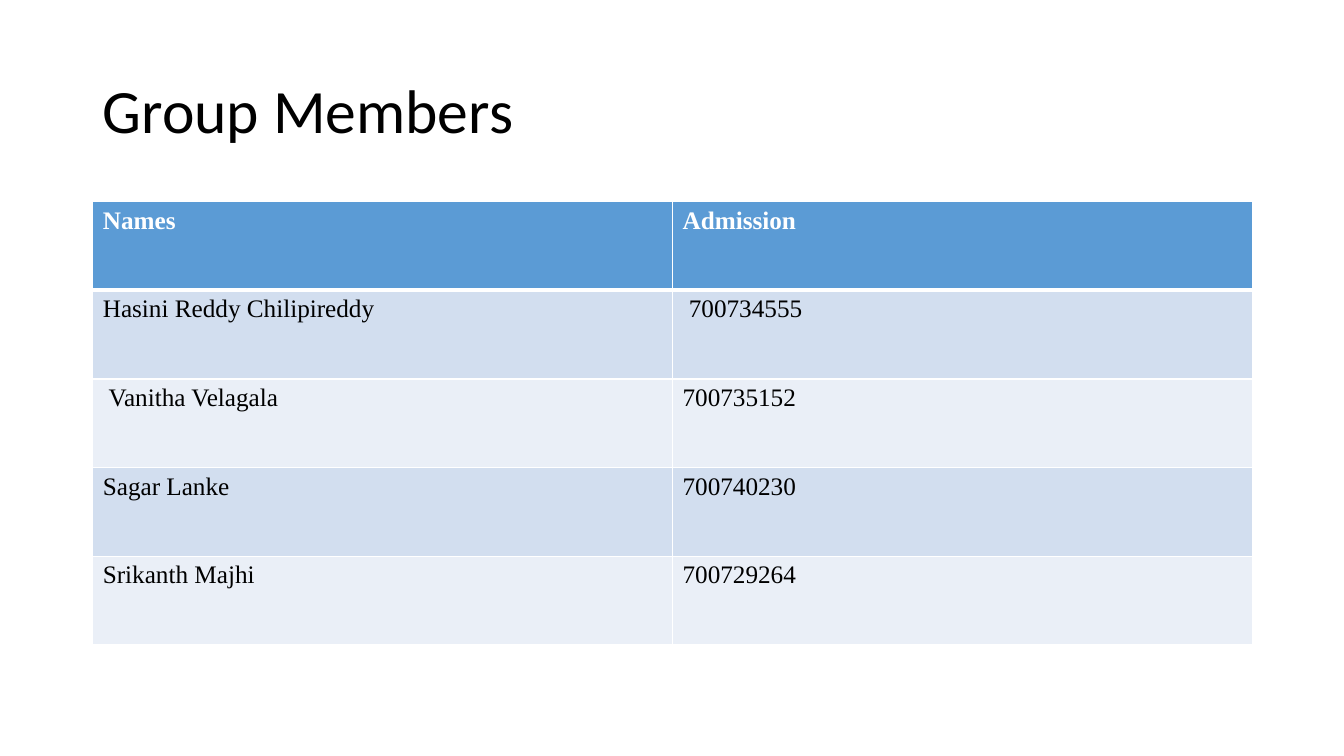
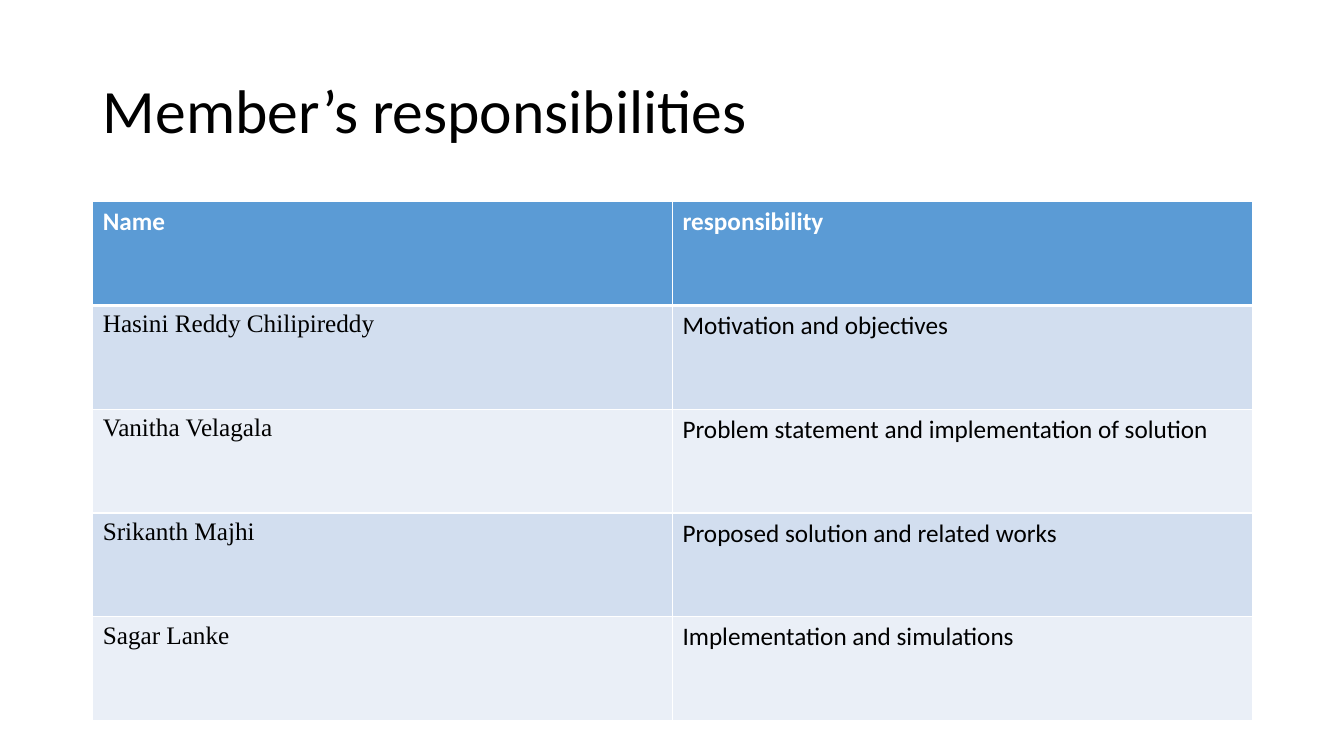
from dataclasses import dataclass

from lxml.etree import SubElement
from pptx import Presentation
from pptx.dml.color import RGBColor
from pptx.enum.text import MSO_ANCHOR, MSO_AUTO_SIZE, PP_ALIGN
from pptx.oxml.ns import qn
from pptx.presentation import Presentation as Deck
from pptx.slide import Slide
from pptx.table import _Cell as Cell
from pptx.text.text import TextFrame
from pptx.util import Inches, Pt

BLACK = RGBColor(0x00, 0x00, 0x00)
WHITE = RGBColor(0xFF, 0xFF, 0xFF)
HEADER_BLUE = RGBColor(0x5B, 0x9B, 0xD5)
BANDS = (RGBColor(0xEA, 0xEF, 0xF7), RGBColor(0xD2, 0xDE, 0xEF))

SANS = "Calibri"
SERIF = "Times New Roman"
TITLE_ONLY = 5
LEFT, WIDTH = Inches(0.92), Inches(11.5)
TITLE_TOP, TITLE_HEIGHT = Inches(0.4), Inches(1.45)
TABLE_TOP = Inches(2)
THIN, THICK = Pt(1), Pt(3)


@dataclass(frozen=True)
class MemberPage:
    """A titled table; the first row is the header."""
    title: str
    row_height: float
    header_font: str
    column_fonts: tuple[str, ...]
    rows: tuple[tuple[str, ...], ...]


PAGES = (
    MemberPage("Group Members ", 0.88, SERIF, (SERIF, SERIF), (
        ("Names ", "Admission "),
        ("Hasini Reddy Chilipireddy", " 700734555"),
        (" Vanitha Velagala", "700735152"),
        ("Sagar Lanke ", "700740230"),
        ("Srikanth Majhi ", "700729264"),
    )),
    MemberPage("Member’s responsibilities", 1.03, SANS, (SERIF, SANS), (
        ("Name ", "responsibility"),
        ("Hasini Reddy Chilipireddy", "Motivation and objectives"),
        ("Vanitha Velagala", "Problem statement and implementation of solution"),
        ("Srikanth Majhi ", "Proposed solution and related works "),
        ("Sagar Lanke", "Implementation and simulations"),
    )),
)


def write(frame: TextFrame, text: str, font: str, size: int,
          color: RGBColor, bold: bool = False) -> None:
    """Put one left-aligned, formatted paragraph in a text frame."""
    frame.text = text
    para = frame.paragraphs[0]
    para.alignment = PP_ALIGN.LEFT
    for span in para.runs:
        span.font.name = font
        span.font.size = Pt(size)
        span.font.bold = bold
        span.font.color.rgb = color


def add_borders(cell: Cell, top: int, bottom: int) -> None:
    """Draw white borders; call before the fill, which must follow them."""
    properties = cell._tc.get_or_add_tcPr()
    widths = {"a:lnL": THIN, "a:lnR": THIN, "a:lnT": top, "a:lnB": bottom}
    for tag, width in widths.items():
        line = SubElement(properties, qn(tag), w=str(int(width)))
        fill = SubElement(line, qn("a:solidFill"))
        SubElement(fill, qn("a:srgbClr"), val=str(WHITE))


def add_title(page: Slide, text: str) -> None:
    """Place and format the title placeholder."""
    box = page.shapes.title
    box.left, box.top = LEFT, TITLE_TOP
    box.width, box.height = WIDTH, TITLE_HEIGHT
    frame = box.text_frame
    write(frame, text, SANS, 44, BLACK)
    frame.word_wrap = True
    frame.auto_size = MSO_AUTO_SIZE.NONE
    frame.vertical_anchor = MSO_ANCHOR.MIDDLE
    frame.paragraphs[0].line_spacing = 0.9


def add_member_table(page: Slide, content: MemberPage) -> None:
    """Draw the banded table with its header row."""
    row_count, column_count = len(content.rows), len(content.column_fonts)
    height = Inches(content.row_height)
    table = page.shapes.add_table(row_count, column_count, LEFT, TABLE_TOP,
                                  WIDTH, height * row_count).table
    for row_index, texts in enumerate(content.rows):
        table.rows[row_index].height = height
        header = row_index == 0
        for column, text in enumerate(texts):
            cell = table.cell(row_index, column)
            add_borders(cell, THICK if row_index == 1 else THIN,
                        THICK if header else THIN)
            cell.fill.solid()
            cell.fill.fore_color.rgb = HEADER_BLUE if header else BANDS[row_index % 2]
            font = content.header_font if header else content.column_fonts[column]
            write(cell.text_frame, text, font, 18, WHITE if header else BLACK, header)


def add_page(deck: Deck, content: MemberPage) -> None:
    """Add one slide with its title and table."""
    page = deck.slides.add_slide(deck.slide_layouts[TITLE_ONLY])
    add_title(page, content.title)
    add_member_table(page, content)


def main() -> None:
    """Build and save the deck."""
    deck = Presentation()
    deck.slide_width, deck.slide_height = Inches(13.33), Inches(7.5)
    for content in PAGES:
        add_page(deck, content)
    deck.save("out.pptx")


main()
